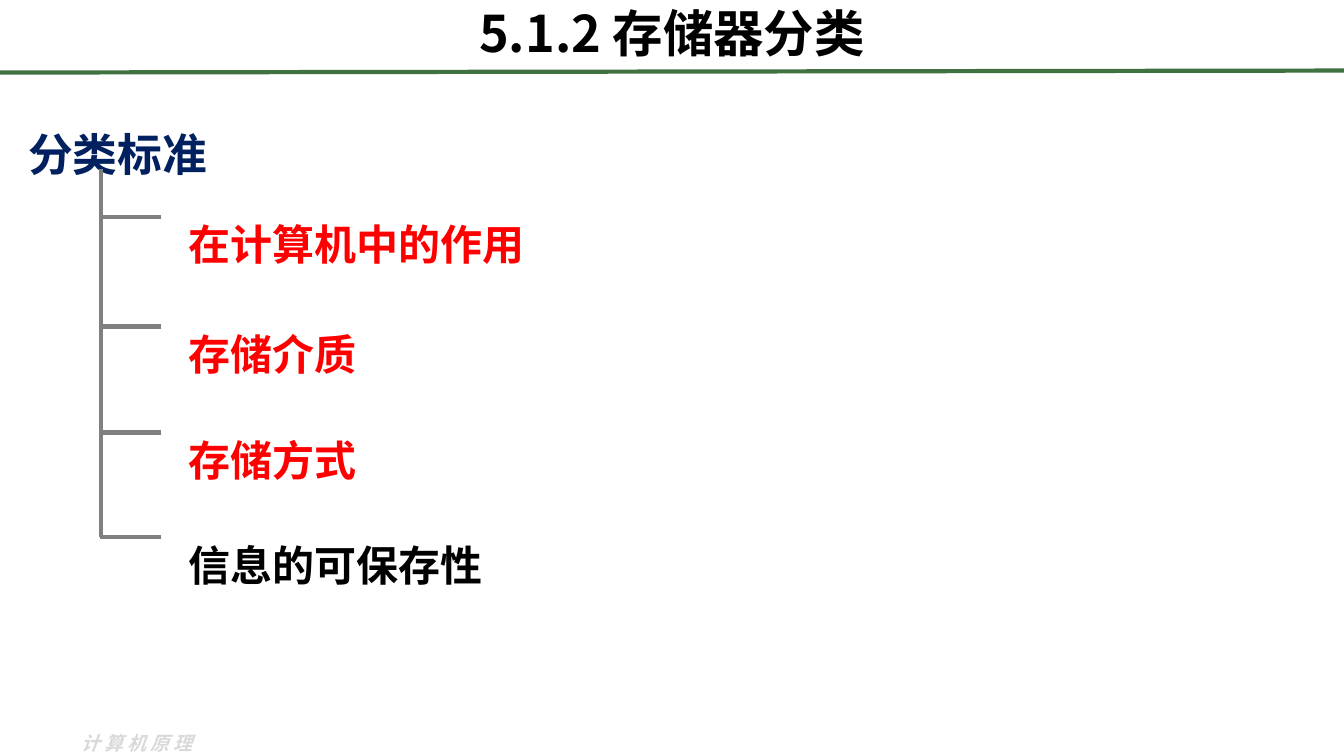
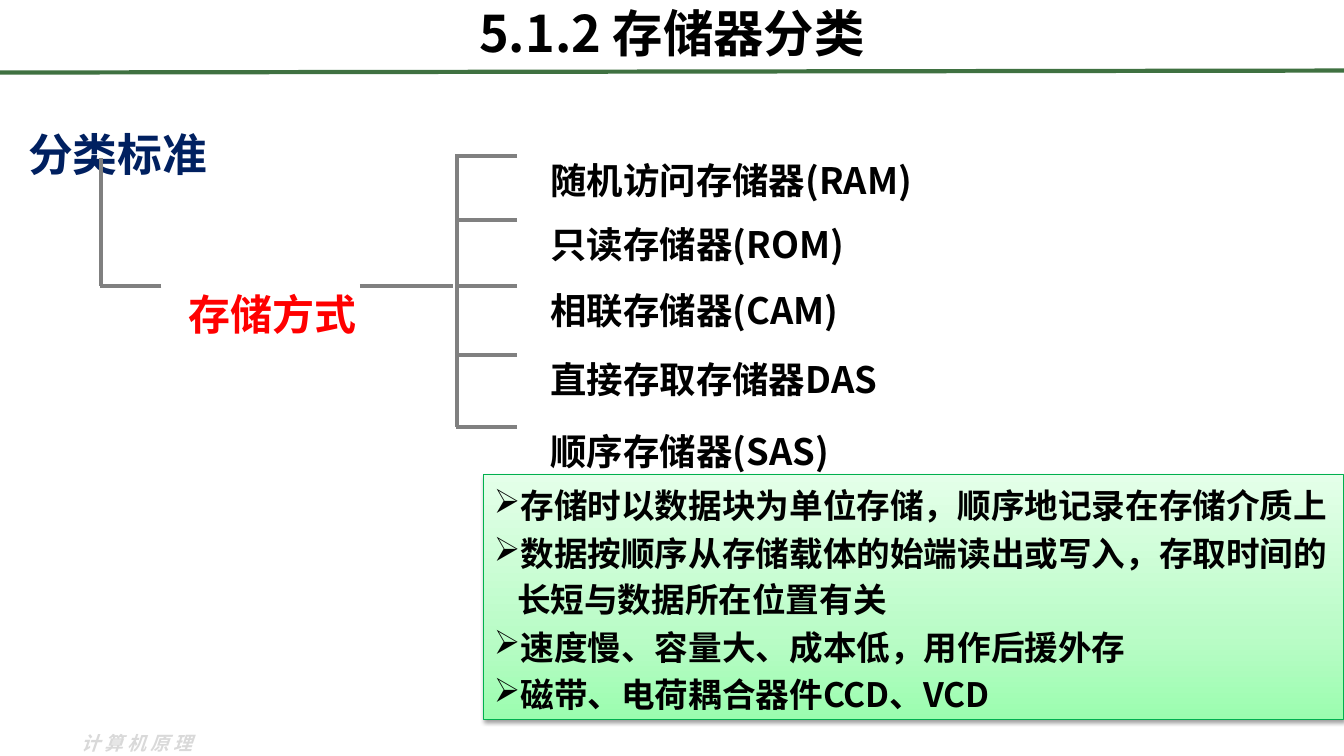
from copy import deepcopy

from lxml import etree
from pptx import Presentation
from pptx import util as u
from pptx.dml.color import RGBColor
from pptx.enum import shapes, text
from pptx.oxml import parse_xml
from pptx.oxml.ns import nsdecls, qn

BLACK = RGBColor(0x00, 0x00, 0x00)
WHITE = RGBColor(0xFF, 0xFF, 0xFF)
RED = RGBColor(0xFF, 0x00, 0x00)
NAVY = RGBColor(0x00, 0x20, 0x60)
BRANCH_GRAY = RGBColor(0x80, 0x80, 0x80)
FOOTER_GRAY = RGBColor(0xD9, 0xD9, 0xD9)
RULE_GREEN = RGBColor(0x3F, 0x71, 0x41)
EDGE_GREEN = RGBColor(0x00, 0xB0, 0x4E)
NOTE_GREENS = ((0, RGBColor(0xE4, 0xFF, 0xE9)),
               (0.65, RGBColor(0xBA, 0xFC, 0xC7)),
               (1, RGBColor(0x9B, 0xFD, 0xAF)))

FONT = "Noto Sans CJK SC"
SLIDE_W, SLIDE_H = 13.33, 7.5
TRUNK_X = 1.0
STUB = 0.6
LOOSE = 1.6
# size of text, gap from trunk to label, rise of label above its stub, label height
MAIN_LABEL = {"size": 30, "gap": 0.77, "rise": 0.33, "height": 0.81}
SUB_LABEL = {"size": 26, "gap": 0.83, "rise": 0.29, "height": 0.71}


def inches(*lengths):
    return [u.Inches(length) for length in lengths]


def format_run(run, size, color, **extra):
    values = {"size": u.Pt(size), "bold": True, "name": FONT, **extra}
    for attribute, value in values.items():
        setattr(run.font, attribute, value)
    run.font.color.rgb = color
    east_asian = etree.SubElement(run.font._element, qn("a:ea"))
    east_asian.set("typeface", FONT)


def write(paragraph, wording, size, color, spacing=1.0, align=None, **extra):
    paragraph.line_spacing = spacing
    paragraph.alignment = align
    run = paragraph.add_run()
    run.text = wording
    format_run(run, size, color, **extra)
    return run


def set_frame(frame, anchor=text.MSO_ANCHOR.TOP, grow=False):
    frame.word_wrap = True
    frame.vertical_anchor = anchor
    frame.auto_size = (text.MSO_AUTO_SIZE.SHAPE_TO_FIT_TEXT if grow
                       else text.MSO_AUTO_SIZE.NONE)


def add_label(slide, box, wording, size, color, **style):
    label = slide.shapes.add_textbox(*inches(*box))
    set_frame(label.text_frame, grow=True)
    run = write(label.text_frame.paragraphs[0], wording, size, color, **style)
    return label, run


def add_line(slide, start, end, color=BRANCH_GRAY):
    line = slide.shapes.add_connector(
        shapes.MSO_CONNECTOR.STRAIGHT, *inches(*start, *end))
    line.line.color.rgb = color
    line.line.width = u.Pt(3)
    etree.SubElement(line._element.spPr, qn("a:effectLst"))
    return line


def add_rectangle(slide, box):
    rectangle = slide.shapes.add_shape(
        shapes.MSO_SHAPE.RECTANGLE, *inches(*box))
    rectangle.shadow.inherit = False
    return rectangle


def furnish_layout(slide):
    """Build the green rule and course name, then move them to the layout."""
    rule = add_line(slide, (0, 0.72), (SLIDE_W, 0.7), RULE_GREEN)
    course, run = add_label(slide, (0.71, 7.21, 1.46, 0.34), "计算机原理",
                            13.5, FOOTER_GRAY, italic=True)
    run.font._element.set("spc", "300")
    for part in (rule, course):
        slide.slide_layout.shapes.element.append(part._element)


def set_title(slide, wording):
    title = slide.shapes.title
    title.left, title.top, title.width, title.height = inches(
        0.05 * SLIDE_W, -0.03, 0.9 * SLIDE_W, 0.85)
    set_frame(title.text_frame, grow=True)
    write(title.text_frame.paragraphs[0], wording, 36, BLACK,
          align=text.PP_ALIGN.CENTER)


def add_heading(slide, wording):
    heading = add_rectangle(slide, (0.18, 1.04, 2.12, 0.64))
    heading.fill.solid()
    heading.fill.fore_color.rgb = WHITE
    heading.line.fill.background()
    set_frame(heading.text_frame, text.MSO_ANCHOR.MIDDLE)
    write(heading.text_frame.paragraphs[0], wording, 32, NAVY, LOOSE,
          text.PP_ALIGN.LEFT)


def add_tree(slide, trunk_x, top, branches, label):
    """Draw a trunk down to the last branch; a branch is (y, wording, color)."""
    add_line(slide, (trunk_x, top), (trunk_x, branches[-1][0]))
    for y, wording, color in branches:
        add_line(slide, (trunk_x + STUB, y), (trunk_x - 0.01, y))
        box = (trunk_x + label["gap"], y - label["rise"],
               0.6 * SLIDE_W, label["height"])
        add_label(slide, box, wording, label["size"], color, spacing=LOOSE)


def fill_note(note):
    note.fill.gradient()
    note.fill.gradient_angle = 270
    stop_list = note._element.spPr.find(".//" + qn("a:gsLst"))
    stop_list.insert(1, deepcopy(stop_list[0]))
    for stop, (position, color) in zip(note.fill.gradient_stops, NOTE_GREENS):
        stop.position = position
        stop.color.rgb = color


def cast_shadow(shape):
    effects = shape._element.spPr.find(qn("a:effectLst"))
    effects.append(parse_xml(
        f'<a:outerShdw {nsdecls("a")} blurRad="{u.Pt(3.1)}" '
        f'dist="{u.Pt(1.6)}" dir="5400000" rotWithShape="0">'
        '<a:srgbClr val="000000"><a:alpha val="38000"/></a:srgbClr>'
        '</a:outerShdw>'))


def set_bullet(paragraph, indent):
    properties = paragraph._p.get_or_add_pPr()
    properties.set("marL", str(u.Inches(indent)))
    properties.set("indent", str(-u.Inches(indent)))
    etree.SubElement(properties, qn("a:buChar")).set("char", "➢")


def add_note(slide, box, points):
    note = add_rectangle(slide, box)
    fill_note(note)
    note.line.color.rgb = EDGE_GREEN
    note.line.width = u.Pt(0.75)
    cast_shadow(note)
    frame = note.text_frame
    set_frame(frame)
    for index, point in enumerate(points):
        paragraph = frame.add_paragraph() if index else frame.paragraphs[0]
        set_bullet(paragraph, 0.23)
        write(paragraph, point, 24, BLACK, 1.14, text.PP_ALIGN.LEFT)
        if index:
            paragraph.space_before = u.Pt(1.2)


def start_slide(deck):
    slide = deck.slides.add_slide(deck.slide_layouts[5])
    set_title(slide, "5.1.2 存储器分类")
    add_heading(slide, "分类标准")
    return slide


def main():
    deck = Presentation()
    deck.slide_width, deck.slide_height = inches(SLIDE_W, SLIDE_H)

    criteria = start_slide(deck)
    furnish_layout(criteria)
    add_tree(criteria, TRUNK_X, 1.68, [
        (2.15, "在计算机中的作用", RED),
        (3.24, "存储介质", RED),
        (4.29, "存储方式", RED),
        (5.33, "信息的可保存性", BLACK),
    ], MAIN_LABEL)

    access = start_slide(deck)
    access_y = 2.84
    add_tree(access, TRUNK_X, 1.57, [(access_y, "存储方式", RED)], MAIN_LABEL)
    add_line(access, (3.57, access_y), (4.49, access_y))
    add_tree(access, 4.53, 1.53, [
        (1.55, "随机访问存储器(RAM)", BLACK),
        (2.18, "只读存储器(ROM)", BLACK),
        (access_y, "相联存储器(CAM)", BLACK),
        (3.52, "直接存取存储器DAS", BLACK),
        (4.24, "顺序存储器(SAS)", BLACK),
    ], SUB_LABEL)
    add_note(access, (4.8, 4.71, SLIDE_W - 4.8, 2.43), [
        "存储时以数据块为单位存储，顺序地记录在存储介质上",
        "数据按顺序从存储载体的始端读出或写入，存取时间的长短与数据所在位置有关",
        "速度慢、容量大、成本低，用作后援外存",
        "磁带、电荷耦合器件CCD、VCD",
    ])

    deck.save("out.pptx")


if __name__ == "__main__":
    main()
